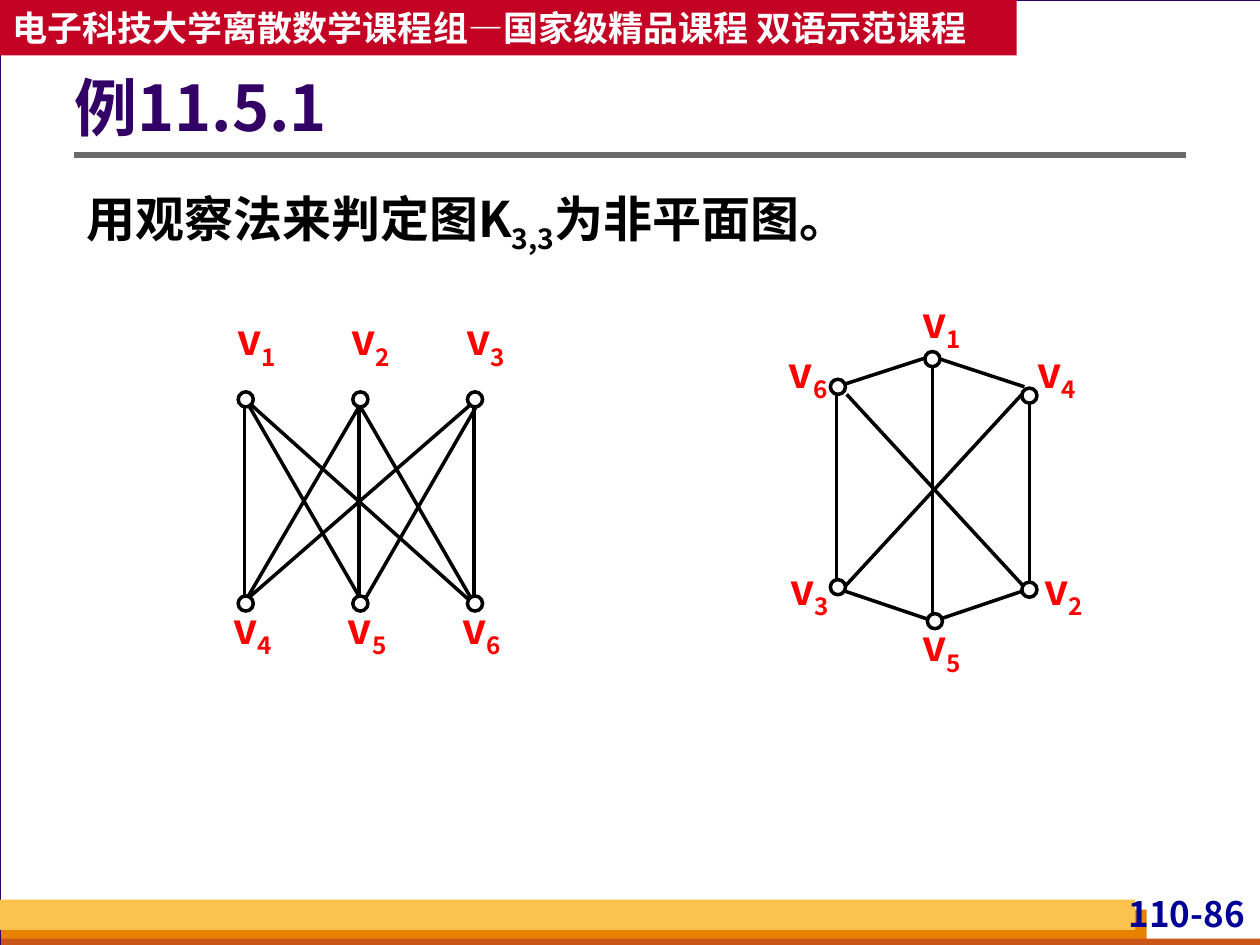
from lxml.etree import SubElement
from pptx import Presentation
from pptx.dml.color import RGBColor
from pptx.enum.shapes import MSO_CONNECTOR as Connector, MSO_SHAPE as Shape
from pptx.enum.text import MSO_ANCHOR as Anchor, PP_ALIGN as Align
from pptx.oxml.ns import qn
from pptx.util import Inches, Pt

FONT = "Noto Sans CJK SC"
BACKGROUND = RGBColor(0xD8, 0xDA, 0xDA)
WHITE = RGBColor(0xFF, 0xFF, 0xFF)
BLACK = RGBColor(0x00, 0x00, 0x00)
PURPLE = RGBColor(0x33, 0x00, 0x66)
CRIMSON = RGBColor(0xC3, 0x02, 0x24)
RED = RGBColor(0xFF, 0x00, 0x00)
NAVY = RGBColor(0x00, 0x00, 0x99)
GRAY = RGBColor(0x6B, 0x6B, 0x6B)
ORANGE = RGBColor(0xE8, 0x80, 0x00)
RUST = RGBColor(0xC9, 0x56, 0x16)
AMBER = RGBColor(0xFC, 0xC2, 0x4F)

NODE_SIZE = 0.12
LABEL_SIZE = (0.47, 0.46)
COLUMNS = (1.95, 2.86, 3.77)

BIPARTITE_NODES = [(x, y) for y in (3.17, 4.79) for x in COLUMNS]
BIPARTITE_LABELS = {
    number: (left + 0.91 * column, top)
    for first, left, top in ((1, 1.8, 2.49), (4, 1.77, 4.78))
    for column, number in enumerate(range(first, first + 3))
}
BIPARTITE_EDGES = [
    (1.94, 3.21, 1.94, 4.75), (1.97, 3.21, 2.86, 4.75), (1.99, 3.21, 3.71, 4.75),
    (2.86, 3.21, 1.96, 4.75), (2.85, 3.21, 2.85, 4.75), (2.85, 3.21, 3.74, 4.75),
    (3.76, 3.19, 1.99, 4.73), (3.79, 3.21, 2.9, 4.75), (3.76, 3.21, 3.76, 4.75),
]

HEXAGON_NODES = [(7.4, 2.85), (8.17, 3.14), (8.17, 4.68),
                 (7.42, 4.93), (6.65, 4.66), (6.65, 3.07)]
HEXAGON_LABELS = {1: (7.24, 2.35), 4: (8.15, 2.75), 2: (8.21, 4.47),
                  5: (7.24, 4.92), 3: (6.19, 4.47), 6: (6.18, 2.75)}
HEXAGON_EDGES = [
    (7.43, 2.84, 8.13, 3.07), (8.17, 3.12, 8.17, 4.65), (8.12, 4.69, 7.41, 4.93),
    (6.7, 4.69, 7.41, 4.93), (6.64, 3.09, 6.64, 4.63), (7.41, 2.82, 6.7, 3.05),
    (7.4, 2.82, 7.4, 4.94), (8.13, 4.66, 6.72, 3.13), (8.12, 3.12, 6.71, 4.65),
]


def add_figure(shapes, kind, left, top, width, height, fill, line=None, weight=0.75):
    """Add a filled preset shape with an optional outline."""
    figure = shapes.add_shape(kind, Inches(left), Inches(top), Inches(width), Inches(height))
    figure.shadow.inherit = False
    figure.fill.solid()
    figure.fill.fore_color.rgb = fill
    if line is None:
        figure.line.fill.background()
    else:
        figure.line.color.rgb = line
        figure.line.width = Pt(weight)
    return figure


def add_line(shapes, ends, color=BLACK, weight=2):
    """Add a straight line between two points."""
    line = shapes.add_connector(Connector.STRAIGHT, *map(Inches, ends))
    line.line.color.rgb = color
    line.line.width = Pt(weight)
    SubElement(line._element.spPr, qn("a:effectLst"))


def write(box, *texts, size, color, align=Align.LEFT, anchor=Anchor.TOP,
          spacing=None, insets=(0.1, 0.05, 0.1, 0.05)):
    """Write one bold paragraph whose every second text is a subscript."""
    frame = box.text_frame
    frame.word_wrap = True
    frame.vertical_anchor = anchor
    (frame.margin_left, frame.margin_top,
     frame.margin_right, frame.margin_bottom) = map(Inches, insets)
    para = frame.paragraphs[0]
    para.alignment = align
    para.line_spacing = spacing
    for position, text in enumerate(texts):
        span = para.add_run()
        span.text = text
        font = span.font
        font.name, font.size, font.bold = FONT, Pt(size), True
        font.color.rgb = color
        properties = font._element
        SubElement(properties, qn("a:ea")).set("typeface", FONT)
        if position % 2:
            properties.set("baseline", "-25000")


def add_text(shapes, left, top, width, height, *texts, **style):
    """Add a text box holding one formatted paragraph."""
    box = shapes.add_textbox(Inches(left), Inches(top), Inches(width), Inches(height))
    write(box, *texts, **style)


def add_graph(page, edges, nodes, labels):
    """Add a grouped graph with edges, round nodes and numbered labels."""
    shapes = page.shapes.add_group_shape().shapes
    for ends in edges:
        add_line(shapes, ends)
    for x, y in nodes:
        add_figure(shapes, Shape.OVAL, x - NODE_SIZE / 2, y - NODE_SIZE / 2,
                   NODE_SIZE, NODE_SIZE, WHITE, BLACK, 2)
    for number, corner in labels.items():
        add_text(shapes, *corner, *LABEL_SIZE, "v", str(number), size=24, color=RED,
                 align=Align.CENTER, insets=(0, 0, 0, 0))


def add_frame(page):
    """Add the page panel, footer bands, page number, rule and banner."""
    shapes = page.shapes
    add_figure(shapes, Shape.RECTANGLE, 0, 0, 10.01, 7.5, WHITE, PURPLE)
    for *place, color in ((0.01, 7.22, 9.09, 0.28, ORANGE),
                          (0.01, 7.45, 10, 0.08, RUST),
                          (0, 7.14, 9.01, 0.24, AMBER)):
        add_figure(shapes, Shape.RECTANGLE, *place, color)
    add_text(shapes, 8.7, 7.08, 1.22, 0.38, "110-86", size=20, color=NAVY,
             align=Align.RIGHT, insets=(0.04, 0, 0.04, 0))
    add_line(shapes, (0.59, 1.23, 9.41, 1.23), GRAY, 3)
    banner = add_figure(shapes, Shape.RECTANGLE, 0, 0, 8.07, 0.44, CRIMSON)
    write(banner, "电子科技大学离散数学课程组—国家级精品课程 双语示范课程",
          size=20, color=WHITE, anchor=Anchor.MIDDLE)


def main():
    """Build the slide and save it."""
    deck = Presentation()
    deck.slide_width, deck.slide_height = Inches(10), Inches(7.5)
    page = deck.slides.add_slide(deck.slide_layouts[6])
    page.background.fill.solid()
    page.background.fill.fore_color.rgb = BACKGROUND
    add_frame(page)
    add_text(page.shapes, 0.59, 0.38, 8.82, 1.01, "例11.5.1", size=36, color=PURPLE,
             anchor=Anchor.MIDDLE, spacing=0.9, insets=(0, 0.05, 0.1, 0.05))
    add_text(page.shapes, 0.59, 1.34, 8.82, 0.74, "用观察法来判定图K", "3,3", "为非平面图。",
             size=28, color=BLACK, align=Align.JUSTIFY, spacing=1.2)
    add_graph(page, BIPARTITE_EDGES, BIPARTITE_NODES, BIPARTITE_LABELS)
    add_graph(page, HEXAGON_EDGES, HEXAGON_NODES, HEXAGON_LABELS)
    deck.save("out.pptx")


if __name__ == "__main__":
    main()
